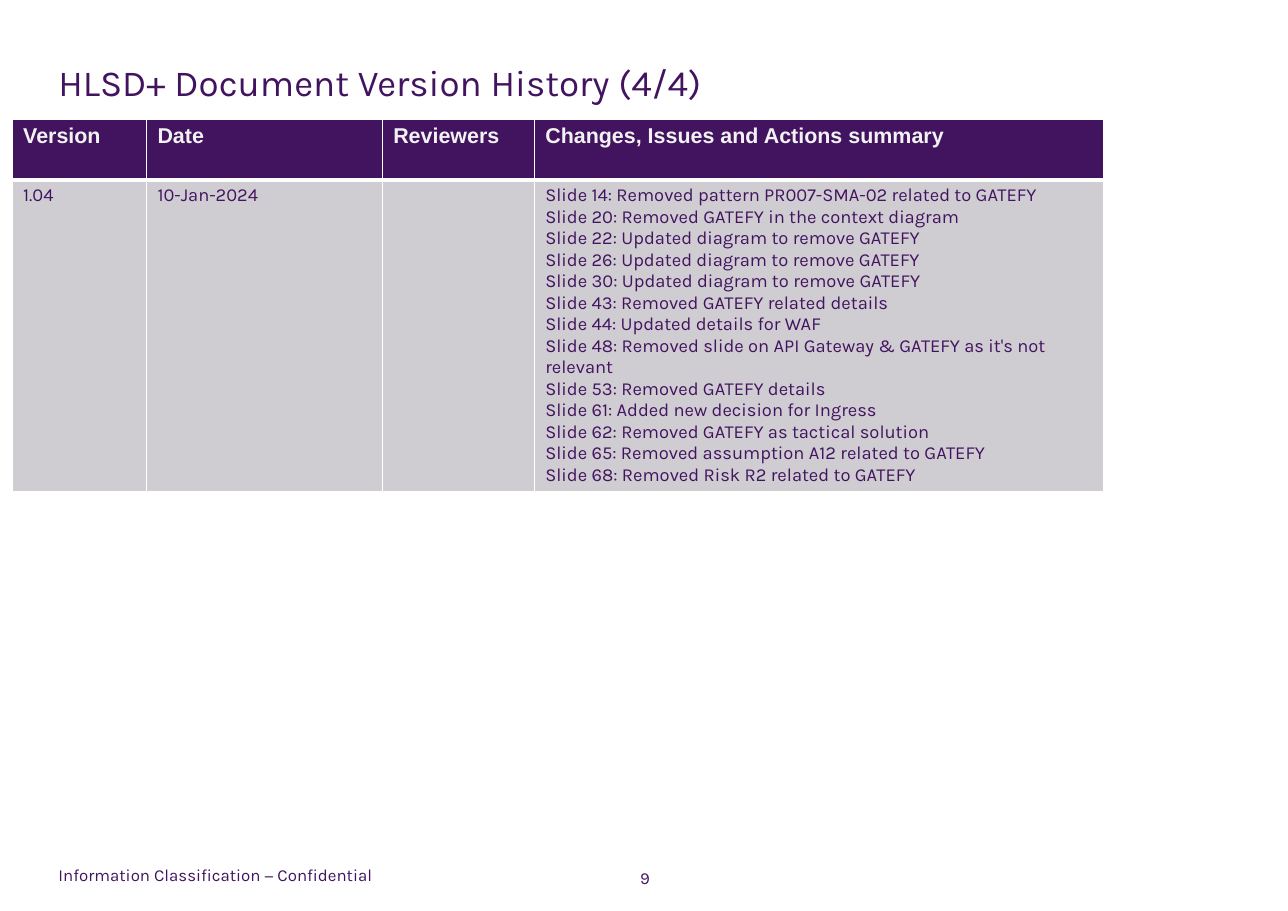
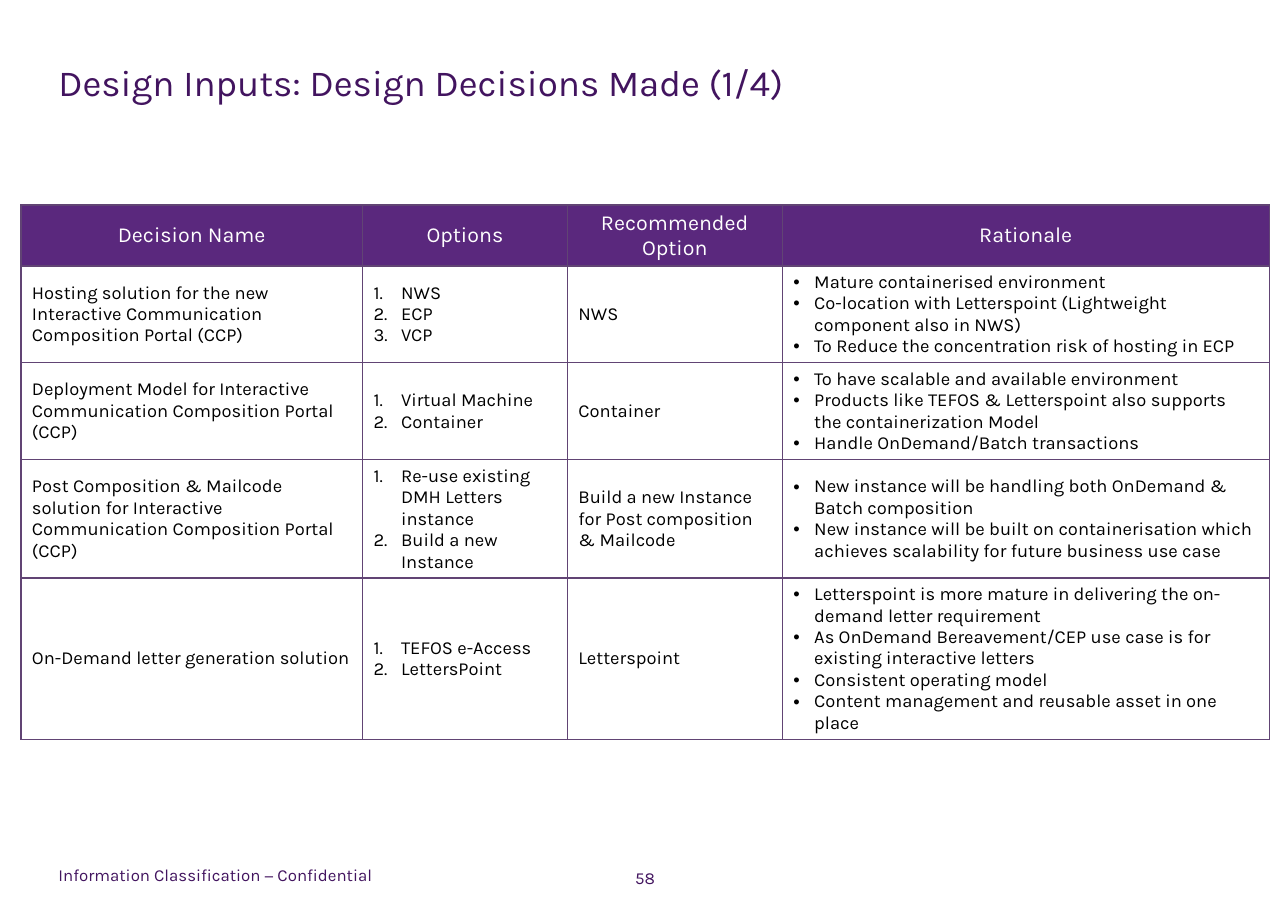
import pptx
import pptx.util
import pptx.dml.color
import pptx.enum.text
import pptx.oxml
import pptx.oxml.ns
from dataclasses import dataclass
from pptx.util import Inches


@dataclass(frozen=True)
class Theme:
    purple: str = "42145F"
    header: str = "5A287D"
    grid: str = "614474"
    band: str = "CFCCD2"
    pale: str = "F2F2F2"
    white: str = "FFFFFF"
    black: str = "000000"
    font: str = "Karla"
    header_font: str = "Arial"
    title_size: int = 24
    header_size: int = 14
    body_size: int = 12
    footer_size: int = 11


theme = Theme()
ALIGN = pptx.enum.text.PP_ALIGN
ANCHOR = pptx.enum.text.MSO_ANCHOR
NS = pptx.oxml.ns.nsdecls("a")
BULLETS = {
    "number": (0.25, ['<a:buFont {} typeface="+mj-lt"/>', '<a:buAutoNum {} type="arabicPeriod"/>']),
    "dot": (0.19, ['<a:buFont {} typeface="Arial"/>', '<a:buChar {} char="•"/>']),
}


def write(tf, text, size, color, font=theme.font, bold=False, align=ALIGN.LEFT, bullet=None):
    tf.text = text
    for p in tf.paragraphs:
        p.alignment = align
        if bullet:
            indent, marks = BULLETS[bullet]
            pPr = p._p.get_or_add_pPr()
            pPr.set("marL", str(Inches(indent)))
            pPr.set("indent", str(-Inches(indent)))
            for mark in marks:
                pPr.append(pptx.oxml.parse_xml(mark.format(NS)))
        for r in p.runs:
            r.font.size = pptx.util.Pt(size)
            r.font.name = font
            r.font.bold = bold
            r.font.color.rgb = pptx.dml.color.RGBColor.from_string(color)


def style_cell(cell, fill, line, widths):
    tcPr = cell._tc.get_or_add_tcPr()
    for side, width in zip("LRTB", widths):
        tcPr.append(pptx.oxml.parse_xml(
            f'<a:ln{side} {NS} w="{pptx.util.Pt(width)}"><a:solidFill>'
            f'<a:srgbClr val="{line}"/></a:solidFill></a:ln{side}>'))
    if fill:
        cell.fill.solid()
        cell.fill.fore_color.rgb = pptx.dml.color.RGBColor.from_string(fill)
    else:
        cell.fill.background()


slides = [
    dict(
        title="HLSD+ Document Version History (4/4)",
        number="9",
        left=0.11, top=1.08,
        cols=[1.22, 2.14, 1.38, 5.17],
        heights=[0.55, 2.81],
        line=theme.white, rule=3,
        fills=[theme.purple, theme.band],
        anchor=ANCHOR.TOP,
        head=dict(color=theme.pale, font=theme.header_font, bold=True),
        body=theme.purple,
        bullets=[None] * 4,
        rows=[
            ["Version", "Date", "Reviewers", "Changes, Issues and Actions summary"],
            ["1.04", "10-Jan-2024", "", "\n".join([
                "Slide 14: Removed pattern PR007-SMA-02 related to GATEFY",
                "Slide 20: Removed GATEFY in the context diagram",
                "Slide 22: Updated diagram to remove GATEFY",
                "Slide 26: Updated diagram to remove GATEFY",
                "Slide 30: Updated diagram to remove GATEFY",
                "Slide 43: Removed GATEFY related details",
                "Slide 44: Updated details for WAF",
                "Slide 48: Removed slide on API Gateway & GATEFY as it's not relevant",
                "Slide 53: Removed GATEFY details",
                "Slide 61: Added new decision for Ingress",
                "Slide 62: Removed GATEFY as tactical solution",
                "Slide 65: Removed assumption A12 related to GATEFY",
                "Slide 68: Removed Risk R2 related to GATEFY",
            ])],
        ],
    ),
    dict(
        title="Design Inputs: Design Decisions Made (1/4)",
        number="58",
        left=0.19, top=1.86,
        cols=[3.1, 1.86, 1.95, 4.42],
        heights=[0.55, 0.88, 0.88, 1.07, 1.46],
        line=theme.grid, rule=1,
        fills=[theme.header, None],
        anchor=ANCHOR.MIDDLE,
        head=dict(color=theme.white, align=ALIGN.CENTER),
        body=theme.black,
        bullets=[None, "number", None, "dot"],
        rows=[
            ["Decision Name", "Options", "Recommended Option", "Rationale"],
            ["Hosting solution for the new Interactive Communication Composition Portal (CCP)",
             "NWS\nECP\nVCP",
             "NWS",
             "Mature containerised environment\n"
             "Co-location with Letterspoint (Lightweight component also in NWS)\n"
             "To Reduce the concentration risk of hosting in ECP"],
            ["Deployment Model for Interactive Communication Composition Portal (CCP)",
             "Virtual Machine\nContainer",
             "Container",
             "To have scalable and available environment\n"
             "Products like TEFOS & Letterspoint also supports the containerization Model\n"
             "Handle OnDemand/Batch transactions"],
            ["Post Composition & Mailcode solution for Interactive Communication Composition Portal (CCP)",
             "Re-use existing DMH Letters instance\nBuild a new Instance",
             "Build a new Instance for Post composition & Mailcode",
             "New instance will be handling both OnDemand & Batch composition\n"
             "New instance will be built on containerisation which achieves scalability "
             "for future business use case"],
            ["On-Demand letter generation solution",
             "TEFOS e-Access\nLettersPoint",
             "Letterspoint",
             "Letterspoint is more mature in delivering the on-demand letter requirement\n"
             "As OnDemand Bereavement/CEP use case is for existing interactive letters\n"
             "Consistent operating model\n"
             "Content management and reusable asset in one place"],
        ],
    ),
]

prs = pptx.Presentation()
prs.slide_width = Inches(11.69)
prs.slide_height = Inches(8.27)

for page in slides:
    s = prs.slides.add_slide(prs.slide_layouts[5])
    title = s.shapes.title
    title.left, title.top, title.width, title.height = map(Inches, (0.53, 0.54, 9.37, 0.59))
    footer = s.shapes.add_textbox(Inches(0.53), Inches(7.79), Inches(2.72), Inches(0.3))
    number = s.shapes.add_textbox(Inches(5.53), Inches(7.82), Inches(0.65), Inches(0.3))

    for sp, text, size, align, anchor, wrap in [
        (title, page["title"], theme.title_size, ALIGN.LEFT, ANCHOR.TOP, False),
        (footer, "Information Classification − Confidential", theme.footer_size,
         ALIGN.LEFT, ANCHOR.MIDDLE, False),
        (number, page["number"], theme.footer_size, ALIGN.CENTER, ANCHOR.MIDDLE, True),
    ]:
        tf = sp.text_frame
        tf.margin_left = tf.margin_right = tf.margin_top = tf.margin_bottom = 0
        tf.auto_size = pptx.enum.text.MSO_AUTO_SIZE.NONE
        tf.vertical_anchor = anchor
        tf.word_wrap = wrap
        write(tf, text, size, theme.purple, align=align)

    rows, cols, heights = page["rows"], page["cols"], page["heights"]
    table = s.shapes.add_table(
        len(rows), len(cols), Inches(page["left"]), Inches(page["top"]),
        Inches(sum(cols)), Inches(sum(heights))).table
    table.horz_banding = False
    for column, width in zip(table.columns, cols):
        column.width = Inches(width)
    for row, height in zip(table.rows, heights):
        row.height = Inches(height)

    for i, texts in enumerate(rows):
        for j, text in enumerate(texts):
            cell = table.cell(i, j)
            cell.vertical_anchor = page["anchor"]
            top = page["rule"] if i == 1 else 1
            bottom = page["rule"] if i == 0 else 1
            style_cell(cell, page["fills"][min(i, 1)], page["line"], (1, 1, top, bottom))
            if i == 0:
                write(cell.text_frame, text, theme.header_size, **page["head"])
            else:
                write(cell.text_frame, text, theme.body_size, page["body"],
                      bullet=page["bullets"][j])

prs.save("out.pptx")
